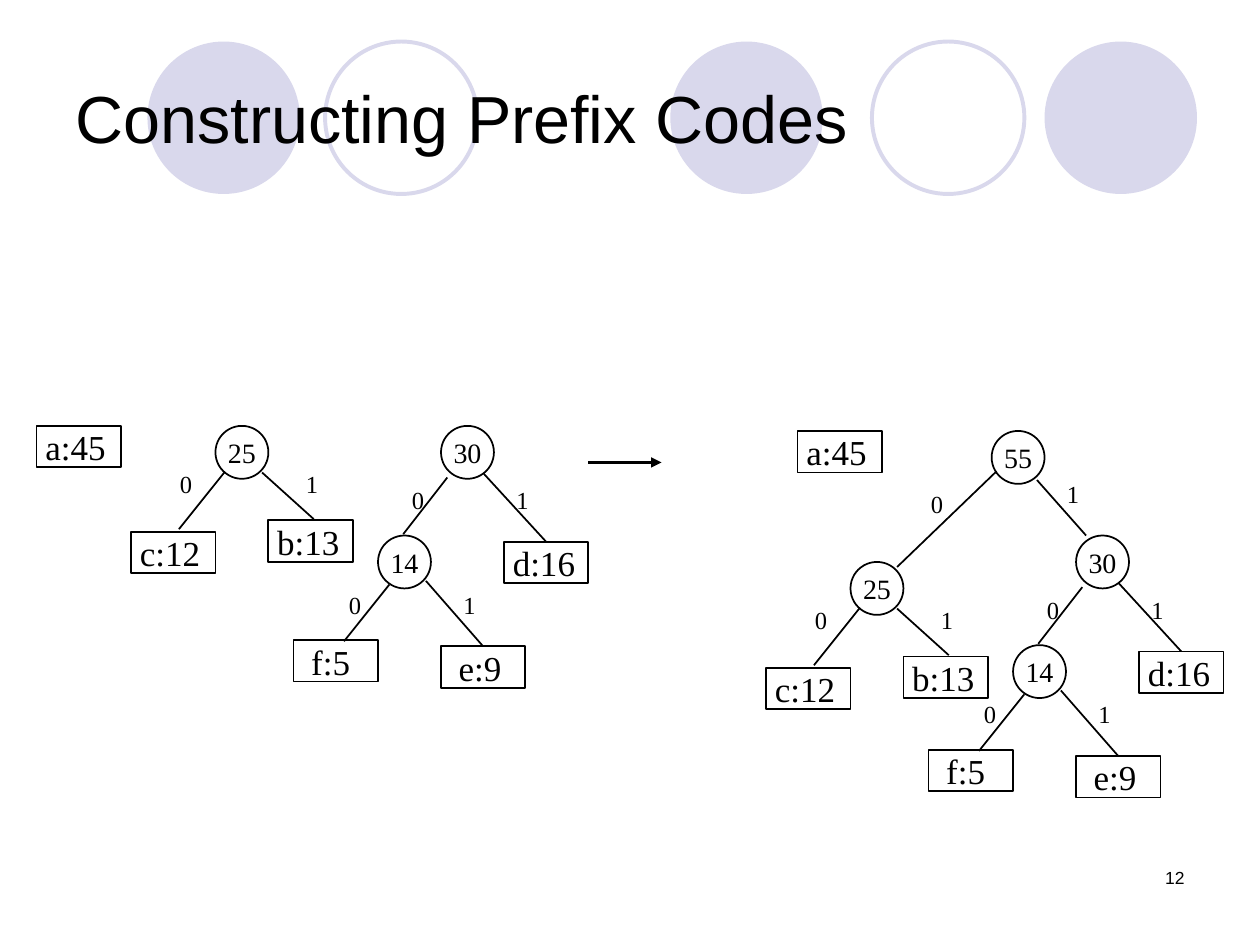
"""Build a slide showing one merge step while constructing prefix codes."""

from dataclasses import dataclass

from lxml.etree import SubElement
from pptx import Presentation
from pptx.dml.color import RGBColor
from pptx.enum.shapes import MSO_CONNECTOR, MSO_SHAPE
from pptx.enum.text import MSO_ANCHOR, PP_ALIGN
from pptx.oxml.ns import qn
from pptx.shapes.autoshape import Shape
from pptx.shapes.connector import Connector
from pptx.slide import Slide
from pptx.util import Inches, Pt

BLACK = RGBColor(0x00, 0x00, 0x00)
LAVENDER = RGBColor(0xD9, 0xD8, 0xEC)
SANS = "Arial"
SERIF = "Times New Roman"
NODE_SIZE = 0.42
LEAF_WIDTH = 0.67
LEAF_HEIGHT = 0.33
SPACE_WIDTH = 0.07
CIRCLE_SIZE = 1.21
TOP_SITE = 0


@dataclass(frozen=True)
class Label:
    text: str
    left: float
    top: float


@dataclass(frozen=True)
class Edge:
    start: tuple[float, float]
    end: tuple[float, float] = (0, 0)
    leaf: str = ""


@dataclass(frozen=True)
class Tree:
    nodes: tuple[Label, ...] = ()
    leaves: tuple[Label, ...] = ()
    edges: tuple[Edge, ...] = ()
    bits: tuple[Label, ...] = ()


@dataclass(frozen=True)
class Placement:
    tree: Tree
    left: float
    top: float


@dataclass(frozen=True)
class Circle:
    left: float
    top: float
    filled: bool


CIRCLES = (
    Circle(5.32, 0.33, True),
    Circle(8.29, 0.33, True),
    Circle(1.17, 0.33, True),
    Circle(6.92, 0.33, False),
    Circle(2.58, 0.33, False),
)

LEAF_A = Tree(leaves=(Label("a:45", 0, 0),))

TREE_25 = Tree(
    nodes=(Label("25", 0, 0),),
    leaves=(Label("c:12", -0.67, 0.84), Label("b:13", 0.42, 0.75)),
    edges=(Edge((0.07, 0.37), (-0.29, 0.82)), Edge((0.37, 0.37), (0.78, 0.74))),
    bits=(Label("0", -0.38, 0.29), Label("1", 0.62, 0.29)),
)

TREE_30 = Tree(
    nodes=(Label("30", 0, 0), Label("14", -0.5, 0.87)),
    leaves=(Label("f:5", -1.17, 1.7), Label("e:9", 0, 1.75), Label("d:16", 0.5, 0.92)),
    edges=(
        Edge((0.05, 0.41), (-0.3, 0.86)),
        Edge((-0.41, 1.26), (-0.77, 1.71)),
        Edge((0.34, 0.38), leaf="d:16"),
        Edge((-0.12, 1.23), leaf="e:9"),
    ),
    bits=(
        Label("0", -0.33, 0.42),
        Label("1", 0.5, 0.42),
        Label("0", -0.83, 1.25),
        Label("1", 0.08, 1.25),
    ),
)

ROOT_55 = Tree(
    nodes=(Label("55", 0, 0),),
    edges=(Edge((0.04, 0.32), (-0.75, 1.08)), Edge((0.36, 0.39), (0.75, 0.83))),
    bits=(Label("0", -0.58, 0.41), Label("1", 0.5, 0.33)),
)

PLACEMENTS = (
    Placement(LEAF_A, 0.29, 3.38),
    Placement(TREE_25, 1.71, 3.38),
    Placement(TREE_30, 3.5, 3.38),
    Placement(LEAF_A, 6.33, 3.42),
    Placement(ROOT_55, 7.87, 3.42),
    Placement(TREE_25, 6.75, 4.46),
    Placement(TREE_30, 8.54, 4.25),
)


def write(shape: Shape, text: str, size: float, font: str,
          alignment: PP_ALIGN = PP_ALIGN.LEFT,
          anchor: MSO_ANCHOR = MSO_ANCHOR.TOP) -> None:
    frame = shape.text_frame
    frame.word_wrap = True
    frame.vertical_anchor = anchor
    paragraph = frame.paragraphs[0]
    paragraph.alignment = alignment
    run = paragraph.add_run()
    run.text = text
    run.font.size = Pt(size)
    run.font.name = font
    run.font.color.rgb = BLACK


def add_text(slide: Slide, label: Label, width: float, height: float,
             size: float, font: str, **layout) -> None:
    box = slide.shapes.add_textbox(
        Inches(label.left), Inches(label.top), Inches(width), Inches(height))
    write(box, label.text, size, font, **layout)


def add_outline(slide: Slide, kind: MSO_SHAPE, left: float, top: float, width: float,
                height: float, color: RGBColor = BLACK, weight: float = 1) -> Shape:
    shape = slide.shapes.add_shape(
        kind, Inches(left), Inches(top), Inches(width), Inches(height))
    shape.shadow.inherit = False
    shape.fill.background()
    shape.line.color.rgb = color
    shape.line.width = Pt(weight)
    frame = shape.text_frame
    frame.margin_left = frame.margin_right = frame.margin_top = frame.margin_bottom = 0
    return shape


def add_circle(slide: Slide, circle: Circle) -> None:
    shape = add_outline(slide, MSO_SHAPE.OVAL, circle.left, circle.top,
                        CIRCLE_SIZE, CIRCLE_SIZE, LAVENDER, 2.25)
    if circle.filled:
        shape.fill.solid()
        shape.fill.fore_color.rgb = LAVENDER
        shape.line.fill.background()


def add_line(slide: Slide, start: tuple[float, float], end: tuple[float, float],
             weight: float = 1) -> Connector:
    line = slide.shapes.add_connector(
        MSO_CONNECTOR.STRAIGHT, *(Inches(value) for value in (*start, *end)))
    line.line.color.rgb = BLACK
    line.line.width = Pt(weight)
    SubElement(line._element.spPr, qn("a:effectLst"))
    return line


def add_leaf(slide: Slide, text: str, left: float, top: float) -> Shape:
    box = add_outline(slide, MSO_SHAPE.RECTANGLE, left, top, LEAF_WIDTH, LEAF_HEIGHT)
    box.text_frame.margin_left = Inches(SPACE_WIDTH * (5 - len(text)))
    write(box, text, 20, SERIF)
    return box


def add_tree(slide: Slide, placement: Placement) -> None:
    tree, left, top = placement.tree, placement.left, placement.top
    for node in tree.nodes:
        shape = add_outline(slide, MSO_SHAPE.OVAL, left + node.left, top + node.top,
                            NODE_SIZE, NODE_SIZE)
        write(shape, node.text, 16, SERIF, PP_ALIGN.CENTER, MSO_ANCHOR.MIDDLE)
    boxes = {leaf.text: add_leaf(slide, leaf.text, left + leaf.left, top + leaf.top)
             for leaf in tree.leaves}
    for edge in tree.edges:
        line = add_line(slide, (left + edge.start[0], top + edge.start[1]),
                        (left + edge.end[0], top + edge.end[1]))
        if edge.leaf:
            line.end_connect(boxes[edge.leaf], TOP_SITE)
    for bit in tree.bits:
        add_text(slide, Label(bit.text, left + bit.left, top + bit.top),
                 0.5, 0.34, 14, SERIF)


def main() -> None:
    presentation = Presentation()
    presentation.slide_width = Inches(10)
    presentation.slide_height = Inches(7.5)
    slide = presentation.slides.add_slide(presentation.slide_layouts[6])
    for circle in CIRCLES:
        add_circle(slide, circle)
    add_text(slide, Label("12", 7.17, 6.83), 2.33, 0.5, 10, SANS,
             alignment=PP_ALIGN.RIGHT)
    add_text(slide, Label("Constructing Prefix Codes", 0.5, 0.3), 9, 1.25, 38, SANS,
             anchor=MSO_ANCHOR.MIDDLE)
    for placement in PLACEMENTS:
        add_tree(slide, placement)
    arrow = add_line(slide, (4.67, 3.67), (5.25, 3.67), 1.5)
    SubElement(arrow.line._get_or_add_ln(), qn("a:tailEnd"), type="triangle")
    presentation.save("out.pptx")


if __name__ == "__main__":
    main()
